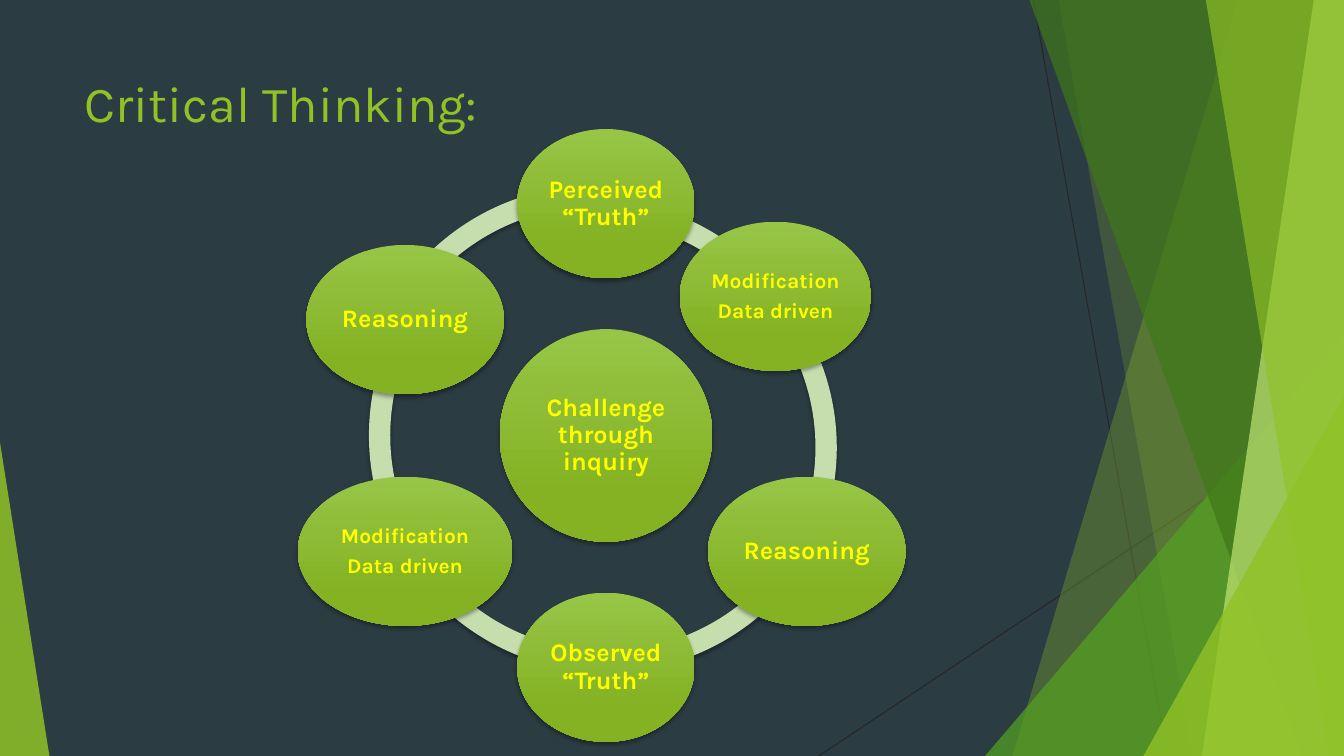
from dataclasses import dataclass
from math import cos, radians, sin

from lxml.etree import SubElement
from pptx import Presentation
from pptx.dml.color import RGBColor
from pptx.enum.shapes import MSO_CONNECTOR as Connector, MSO_SHAPE as Shape
from pptx.enum.text import MSO_ANCHOR as Anchor, PP_ALIGN as Align
from pptx.oxml.ns import qn
from pptx.util import Inches, Pt


@dataclass(frozen=True)
class Theme:
    font: str = "Karla"
    background: str = "2C3C43"
    green: str = "90C226"
    grass: str = "54A021"
    forest: str = "3F7819"
    lime: str = "C0E474"
    ring: str = "C6DDAD"
    node_top: str = "97C547"
    node_bottom: str = "84B223"
    label: str = "FFFF00"
    hairline: str = "262626"
    shadow: str = "000000"
    title_size: int = 36
    large: int = 18
    small: int = 15


theme = Theme()
WIDTH, HEIGHT = 13.33, 7.5
TITLE = "Critical Thinking:"
TITLE_AREA = (0.74, 0.67, 9.4, 1.44)

HAIRLINES = [(10.25, 0, 11.58, HEIGHT), (WIDTH, 4.03, 8.12, HEIGHT)]
FACETS = [
    ("band", 12.28, 10.04, theme.green, 30),
    ("band", 10.5, 11.83, theme.green, 20),
    ("corner", (9.77, 3.33, 3.56, 4.17), 1, theme.grass, 72),
    ("band", 10.21, 12.91, theme.forest, 70),
    ("band", 13.03, 11.92, theme.lime, 70),
    ("band", 11.96, 13.18, theme.green, 65),
    ("corner", (11.34, 3.93, 1.99, 3.57), 1, theme.green, 80),
    ("corner", (0, 4.39, 0.49, 3.11), 0, theme.green, 85),
]

CENTER_X, CENTER_Y, ORBIT = 6.01, 4.32, 2.3
ARC_SIZE, ARC_THICKNESS = 4.7, 0.045
ARCS = [
    (3.55, 1.84, 210, 270),
    (3.66, 1.97, 150, 210),
    (3.66, 1.97, 90, 150),
    (3.66, 1.97, 30, 90),
    (3.6, 2.09, 319.22, 26.81),
    (3.51, 1.97, 273.89, 323),
]
HUB_LABEL, HUB_SIZE = "Challenge through inquiry", 2.11
NODE_HEIGHT = 1.48
MODIFICATION = ["Modification", "Data driven"]
NODES = [
    (["Perceived “Truth”"], 1.76, theme.large, (0, 0)),
    (MODIFICATION, 1.9, theme.small, (-0.31, -0.23)),
    (["Reasoning"], 1.96, theme.large, (0, 0)),
    (["Observed “Truth”"], 1.76, theme.large, (0, 0)),
    (MODIFICATION, 2.13, theme.small, (0, 0)),
    (["Reasoning"], 1.96, theme.large, (0, 0)),
]


def inches(values):
    return [Inches(value) for value in values]


def color(code):
    return RGBColor.from_string(code)


def write(frame, lines, size, ink, bold=False, align=Align.LEFT,
          anchor=Anchor.TOP, spacing=1.0, gap=0):
    frame.word_wrap = True
    frame.vertical_anchor = anchor
    for index, line in enumerate(lines):
        para = frame.add_paragraph() if index else frame.paragraphs[0]
        para.alignment = align
        para.line_spacing = spacing
        para.space_before = Pt(gap if index else 0)
        span = para.add_run()
        span.text = line
        span.font.name = theme.font
        span.font.size = Pt(size)
        span.font.bold = bold
        span.font.color.rgb = color(ink)


def paint(shape, code, opacity=100):
    shape.shadow.inherit = False
    shape.line.fill.background()
    shape.fill.solid()
    shape.fill.fore_color.rgb = color(code)
    if opacity < 100:
        tint = shape._element.spPr.find(".//" + qn("a:srgbClr"))
        SubElement(tint, qn("a:alpha"), val=str(opacity * 1000))


def cast_shadow(shape):
    effects = shape._element.spPr.find(qn("a:effectLst"))
    outer = SubElement(effects, qn("a:outerShdw"), blurRad=str(Pt(3)),
                       dist=str(Pt(2)), dir="5400000", rotWithShape="0")
    tint = SubElement(outer, qn("a:srgbClr"), val=theme.shadow)
    SubElement(tint, qn("a:alpha"), val="35000")


def add_hairline(page, ends):
    line = page.shapes.add_connector(Connector.STRAIGHT, *inches(ends))
    line.line.color.rgb = color(theme.hairline)
    line.line.width = Pt(0.75)
    SubElement(line._element.spPr, qn("a:effectLst"))


def add_band(page, top, bottom):
    outline = [(top, 0), (WIDTH, 0), (WIDTH, HEIGHT), (bottom, HEIGHT)]
    points = [inches(point) for point in outline]
    builder = page.shapes.build_freeform(*points[0])
    builder.add_line_segments(points[1:], close=True)
    return builder.convert_to_shape()


def add_corner(page, area, apex):
    corner = page.shapes.add_shape(Shape.ISOSCELES_TRIANGLE, *inches(area))
    corner.adjustments[0] = apex
    return corner


def add_arc(page, left, top, start, end):
    arc = page.shapes.add_shape(
        Shape.BLOCK_ARC, *inches((left, top, ARC_SIZE, ARC_SIZE)))
    for index, value in enumerate((start * 0.6, end * 0.6, ARC_THICKNESS)):
        arc.adjustments[index] = value
    paint(arc, theme.ring)
    cast_shadow(arc)


def add_node(page, lines, x, y, width, height, size):
    area = (x - width / 2, y - height / 2, width, height)
    node = page.shapes.add_shape(Shape.OVAL, *inches(area))
    paint(node, theme.node_top)
    node.fill.gradient()
    node.fill.gradient_angle = 270
    stops = [(0, theme.node_top), (0.78, theme.node_bottom)]
    for stop, (position, code) in zip(node.fill.gradient_stops, stops):
        stop.position = position
        stop.color.rgb = color(code)
    cast_shadow(node)
    frame = node.text_frame
    frame.margin_left = frame.margin_right = Inches(0.03)
    frame.margin_top = frame.margin_bottom = Inches(0.03)
    write(frame, lines, size, theme.label, bold=True, align=Align.CENTER,
          anchor=Anchor.MIDDLE, spacing=0.9, gap=size * 0.35)


deck = Presentation()
deck.slide_width, deck.slide_height = inches((WIDTH, HEIGHT))
page = deck.slides.add_slide(deck.slide_layouts[5])
page.background.fill.solid()
page.background.fill.fore_color.rgb = color(theme.background)

for ends in HAIRLINES:
    add_hairline(page, ends)
for kind, first, second, code, opacity in FACETS:
    add_facet = add_band if kind == "band" else add_corner
    paint(add_facet(page, first, second), code, opacity)

title = page.shapes.title
title.left, title.top, title.width, title.height = inches(TITLE_AREA)
write(title.text_frame, [TITLE], theme.title_size, theme.green)

for arc in ARCS:
    add_arc(page, *arc)
add_node(page, [HUB_LABEL], CENTER_X, CENTER_Y, HUB_SIZE, HUB_SIZE, theme.large)
for index, (lines, width, size, (shift_x, shift_y)) in enumerate(NODES):
    angle = radians(index * 360 / len(NODES) - 90)
    x = CENTER_X + ORBIT * cos(angle) + shift_x
    y = CENTER_Y + ORBIT * sin(angle) + shift_y
    add_node(page, lines, x, y, width, NODE_HEIGHT, size)

deck.save("out.pptx")
